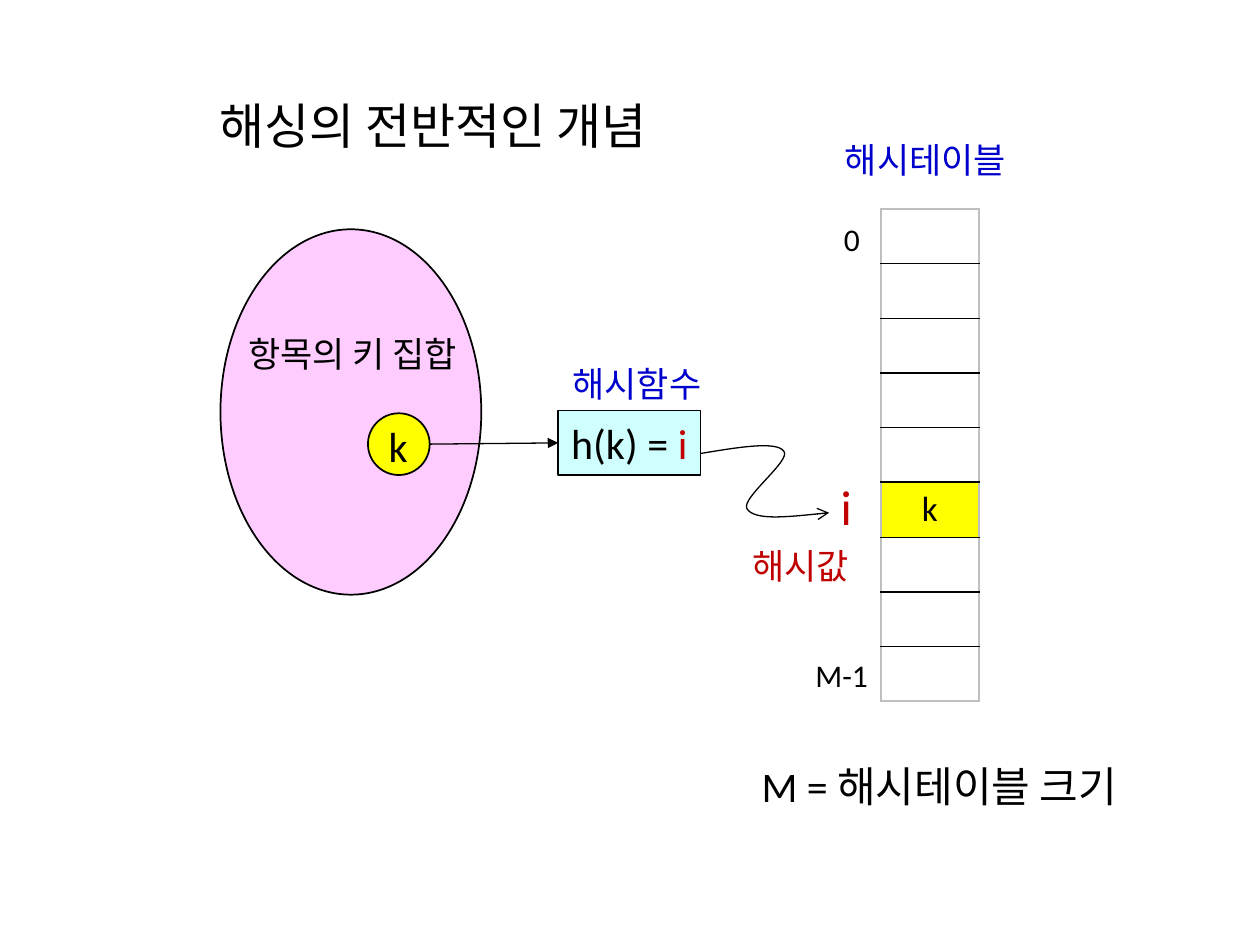
from dataclasses import dataclass
from typing import NamedTuple

from lxml.etree import SubElement
from pptx import Presentation
from pptx.dml.color import RGBColor
from pptx.enum.shapes import MSO_CONNECTOR as Link, MSO_SHAPE as Preset
from pptx.enum.text import MSO_ANCHOR as Anchor, PP_ALIGN as Align
from pptx.oxml.ns import qn
from pptx.util import Inches, Pt

# The slide is a grid of 100 columns and 75 rows of square units
COLUMNS, ROWS = 100, 75
UNIT = Inches(0.1)


@dataclass(frozen=True)
class Theme:
    latin: str = "Calibri"
    korean: str = "Noto Sans CJK KR"
    black: str = "000000"
    blue: str = "0000CC"
    red: str = "C00000"
    pink: str = "FFCCFF"
    yellow: str = "FFFF00"
    cyan: str = "CEFFFE"
    white: str = "FFFFFF"
    grey: str = "BFBFBF"
    title: int = 28
    formula: int = 24
    label: int = 20
    index: int = 18
    thin: float = 0.75
    line: float = 1


THEME = Theme()


class Area(NamedTuple):
    left: float
    top: float
    width: float
    height: float


class Label(NamedTuple):
    text: str
    area: Area
    size: int
    color: str = THEME.black
    font: str = THEME.latin
    align: Align = Align.CENTER


class Node(NamedTuple):
    preset: Preset
    area: Area
    fill: str
    line: float = THEME.line


def lengths(*units: float) -> list[int]:
    return [round(value * UNIT) for value in units]


def add_span(para, text: str, *, size: int, color: str = THEME.black,
             font: str = THEME.latin) -> None:
    span = para.add_run()
    span.text = text
    span.font.size = Pt(size)
    span.font.name = font
    span.font.color.rgb = RGBColor.from_string(color)
    SubElement(span.font._element, qn("a:ea"), typeface=THEME.korean)


def add_label(page, label: Label) -> None:
    box = page.shapes.add_textbox(*lengths(*label.area))
    box.text_frame.word_wrap = False
    para = box.text_frame.paragraphs[0]
    para.alignment = label.align
    add_span(para, label.text, size=label.size, color=label.color, font=label.font)


def style_line(line, width: float) -> None:
    line.color.rgb = RGBColor.from_string(THEME.black)
    line.width = Pt(width)


def add_node(page, node: Node):
    shape = page.shapes.add_shape(node.preset, *lengths(*node.area))
    shape.shadow.inherit = False
    shape.fill.solid()
    shape.fill.fore_color.rgb = RGBColor.from_string(node.fill)
    style_line(shape.line, node.line)
    return shape


def add_arrowhead(shape, kind: str) -> None:
    SubElement(shape.line._get_or_add_ln(), qn("a:tailEnd"), type=kind)


def add_curve(page, points: list[tuple[float, float]]) -> None:
    """Draw a start point followed by triples of cubic Bezier points."""
    start, *rest = [lengths(*point) for point in points]
    builder = page.shapes.build_freeform(*start)
    builder.add_line_segments(rest, close=False)
    curve = builder.convert_to_shape()
    curve.shadow.inherit = False
    curve.fill.background()
    style_line(curve.line, THEME.thin)
    add_arrowhead(curve, "arrow")
    outline = next(curve._element.iter(qn("a:moveTo"))).getparent()
    steps = outline.findall(qn("a:lnTo"))
    for first in range(0, len(steps), 3):
        bezier = SubElement(outline, qn("a:cubicBezTo"))
        for step in steps[first:first + 3]:
            bezier.append(step[0])
            outline.remove(step)


def set_borders(cell, colors: dict[str, str]) -> None:
    properties = cell._tc.get_or_add_tcPr()
    for index, (side, color) in enumerate(colors.items()):
        border = SubElement(properties, qn(f"a:{side}"), w=str(Pt(THEME.line)))
        fill = SubElement(border, qn("a:solidFill"))
        SubElement(fill, qn("a:srgbClr"), val=color)
        properties.insert(index, border)


def add_hash_table(page, area: Area, count: int, entries: dict[int, str]) -> None:
    table = page.shapes.add_table(count, 1, *lengths(*area)).table
    table.first_row = table.horz_banding = False
    for row in range(count):
        table.rows[row].height = round(area.height * UNIT / count)
        cell = table.cell(row, 0)
        cell.fill.solid()
        color = THEME.yellow if row in entries else THEME.white
        cell.fill.fore_color.rgb = RGBColor.from_string(color)
        cell.vertical_anchor = Anchor.MIDDLE
        set_borders(cell, {
            "lnL": THEME.grey, "lnR": THEME.grey,
            "lnT": THEME.black if row else THEME.grey,
            "lnB": THEME.black if row < count - 1 else THEME.grey})
        if row in entries:
            para = cell.text_frame.paragraphs[0]
            para.alignment = Align.CENTER
            add_span(para, entries[row], size=THEME.label)


KEY_SET = Node(Preset.OVAL, Area(17.5, 18.2, 20.7, 29), THEME.pink)
KEY = Node(Preset.OVAL, Area(29.2, 32.8, 4.9, 4.9), THEME.yellow)
FUNCTION = Node(Preset.RECTANGLE, Area(44.3, 32.6, 11.3, 5.1), THEME.cyan, THEME.thin)
HASH_TABLE = Area(69.9, 16.6, 7.8, 39)
HASH_PATH = [(55.6, 36), (58.6, 35.5), (61.6, 35), (62.2, 35.8),
             (62.9, 36.5), (58.7, 39.6), (59.3, 40.4),
             (59.9, 41.3), (62.9, 41), (65.8, 40.7)]
LABELS = [
    Label("해싱의 전반적인 개념", Area(16.4, 7.1, 39.1, 5.7), THEME.title, align=Align.LEFT),
    Label("항목의 키 집합", Area(17.6, 25.9, 20.8, 4.4), THEME.label, font=THEME.korean),
    Label("k", Area(29.8, 32.9, 3.6, 5.1), THEME.formula),
    Label("해시함수", Area(43.9, 28.3, 13.3, 4.4), THEME.label, THEME.blue, THEME.korean),
    Label("해시테이블", Area(65.4, 10.5, 16.1, 4.4), THEME.label, THEME.blue, THEME.korean),
    Label("0", Area(65.4, 17, 4.4, 4), THEME.index),
    Label("i", Area(65.7, 37.3, 2.9, 5.7), THEME.title, THEME.red),
    Label("해시값", Area(58.1, 42.7, 10.9, 4.4), THEME.label, THEME.red, THEME.korean),
    Label("M-1", Area(62.6, 51.6, 8.4, 4), THEME.index),
    Label(" M = 해시테이블 크기", Area(58.7, 59.9, 33.2, 5), THEME.formula, align=Align.LEFT),
]


def main() -> None:
    deck = Presentation()
    deck.slide_width, deck.slide_height = lengths(COLUMNS, ROWS)
    page = deck.slides.add_slide(deck.slide_layouts[6])

    # Key set, key and hash function
    add_node(page, KEY_SET)
    add_node(page, KEY)
    function = add_node(page, FUNCTION)
    function.text_frame.word_wrap = False
    para = function.text_frame.paragraphs[0]
    para.alignment = Align.CENTER
    add_span(para, "h(k) = ", size=THEME.formula)
    add_span(para, "i", size=THEME.formula, color=THEME.red)

    # Hash table with the key stored in slot i
    add_hash_table(page, HASH_TABLE, 9, {5: "k"})

    # Arrows from the key to the function and on to the slot
    key = KEY.area
    start = lengths(key.left + key.width, key.top + key.height / 2)
    arrow = page.shapes.add_connector(Link.STRAIGHT, *start, *start)
    arrow.end_connect(function, 1)
    style_line(arrow.line, THEME.thin)
    add_arrowhead(arrow, "triangle")
    SubElement(arrow._element.spPr, qn("a:effectLst"))
    add_curve(page, HASH_PATH)

    # Title and labels
    for label in LABELS:
        add_label(page, label)

    deck.save("out.pptx")


if __name__ == "__main__":
    main()
